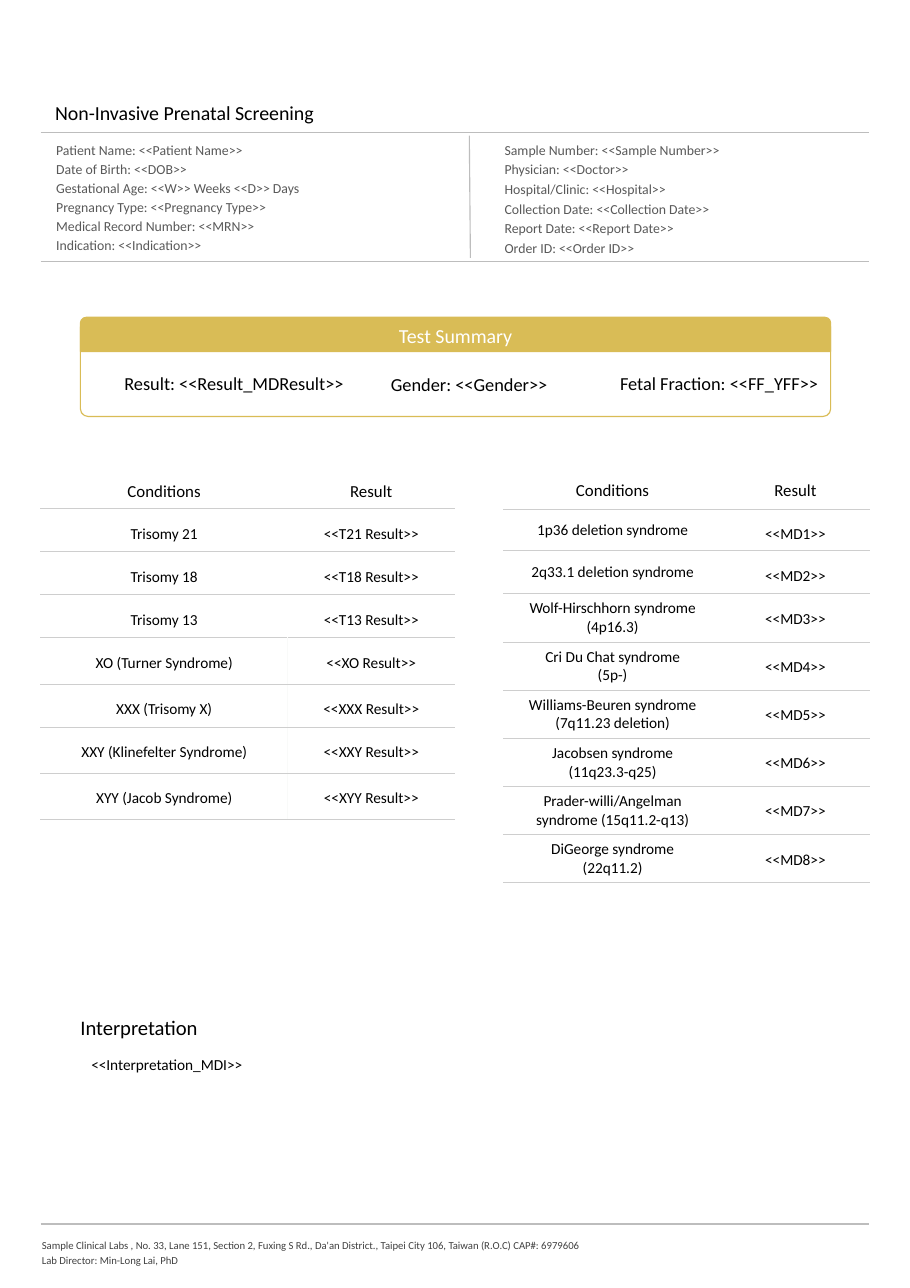
"""Build the one-page prenatal screening report form."""
from lxml import etree
from pptx import Presentation
from pptx.dml.color import RGBColor
from pptx.enum.shapes import MSO_CONNECTOR, MSO_SHAPE
from pptx.enum.text import MSO_ANCHOR, MSO_AUTO_SIZE, PP_ALIGN
from pptx.oxml import parse_xml
from pptx.oxml.ns import nsdecls, qn
from pptx.util import Inches, Pt

BLACK = RGBColor(0x00, 0x00, 0x00)
WHITE = RGBColor(0xFF, 0xFF, 0xFF)
GOLD = RGBColor(0xD9, 0xBC, 0x56)
RULE_GRAY = RGBColor(0xBD, 0xBD, 0xBD)
ROW_GRAY = RGBColor(0xCE, 0xCE, 0xCE)
PALE_GRAY = RGBColor(0xF9, 0xFA, 0xF9)
DETAIL_GRAY = RGBColor(0x59, 0x59, 0x59)
FOOTER_GRAY = RGBColor(0x41, 0x41, 0x41)


def write(frame, lines, size, color=BLACK, align=PP_ALIGN.LEFT, spacing=1.0, gap=0):
    frame.text = "\n".join(lines)
    for index, paragraph in enumerate(frame.paragraphs):
        paragraph.alignment = align
        paragraph.line_spacing = spacing
        paragraph.space_before = Pt(gap if index else 0)
        paragraph.font.name = "Calibri"
        paragraph.font.size = Pt(size)
        paragraph.font.color.rgb = color


def place(shape, box, inset_x, inset_y):
    shape.left, shape.top, shape.width, shape.height = map(Inches, box)
    frame = shape.text_frame
    frame.auto_size = MSO_AUTO_SIZE.NONE
    frame.word_wrap = True
    frame.vertical_anchor = MSO_ANCHOR.TOP
    frame.margin_left = frame.margin_right = Inches(inset_x)
    frame.margin_top = frame.margin_bottom = Inches(inset_y)
    return frame


presentation = Presentation()
presentation.slide_width, presentation.slide_height = Inches(8.26), Inches(11.69)
slide = presentation.slides.add_slide(presentation.slide_layouts.get_by_name("Two Content"))
shapes = slide.shapes
title, patient_list, sample_list = slide.placeholders

write(place(title, (0.5, 0.89, 3.74, 0.23), 0, 0.02), ["Non-Invasive Prenatal Screening"], 13)

details = [
    (patient_list, 0.51, 0, [
        "Patient Name: <<Patient Name>>", "Date of Birth: <<DOB>>",
        "Gestational Age: <<W>> Weeks <<D>> Days", "Pregnancy Type: <<Pregnancy Type>>",
        "Medical Record Number: <<MRN>>", "Indication: <<Indication>>"]),
    (sample_list, 4.58, 0.4, [
        "Sample Number: <<Sample Number>>", "Physician: <<Doctor>>",
        "Hospital/Clinic: <<Hospital>>", "Collection Date: <<Collection Date>>",
        "Report Date: <<Report Date>>", "Order ID: <<Order ID>>"]),
]
for placeholder, left, gap, lines in details:
    frame = place(placeholder, (left, 1.25, 3.13, 1.06), 0, 0.01)
    write(frame, lines, 9, DETAIL_GRAY, spacing=1.15, gap=gap)
    for paragraph in frame.paragraphs:
        properties = paragraph._p.get_or_add_pPr()
        properties.set("marL", "0")
        properties.set("indent", "0")
        properties[-1].addprevious(parse_xml(f"<a:buNone {nsdecls('a')}/>"))

rules = [(0.37, y, 7.89, y) for y in (1.2, 2.37, 11.11)] + [(4.26, 1.23, 4.27, 2.34)]
for ends in rules:
    rule = shapes.add_connector(MSO_CONNECTOR.STRAIGHT, *map(Inches, ends))
    rule.line.color.rgb = RULE_GRAY
    rule.line.width = Pt(0.75)
    etree.SubElement(rule._element.spPr, qn("a:effectLst"))

summary_panel = shapes.add_shape(MSO_SHAPE.ROUNDED_RECTANGLE, *map(Inches, (0.73, 2.9, 6.81, 0.88)))
summary_panel.adjustments[0] = 0.079
summary_panel.fill.background()
summary_banner = shapes.add_shape(
    MSO_SHAPE.ROUND_2_SAME_RECTANGLE, *map(Inches, (0.73, 2.88, 6.81, 0.31)))
summary_banner.fill.solid()
summary_banner.fill.fore_color.rgb = GOLD
for shape in (summary_panel, summary_banner):
    shape.shadow.inherit = False
    shape.line.color.rgb = GOLD
    shape.line.width = Pt(0.75)
banner_frame = place(summary_banner, (0.73, 2.88, 6.81, 0.31), 0, 0)
banner_frame.vertical_anchor = MSO_ANCHOR.MIDDLE
write(banner_frame, ["Test Summary"], 13, WHITE, PP_ALIGN.CENTER)

labels = [
    ((1.03, 3.33, 2.32, 0.3), 0.1, 0.05, 12, "Result: <<Result_MDResult>>"),
    ((3.45, 3.34, 1.87, 0.3), 0.1, 0.05, 12, "Gender: <<Gender>>"),
    ((5.53, 3.33, 2.1, 0.3), 0.1, 0.05, 12, "Fetal Fraction: <<FF_YFF>>"),
    ((0.73, 9.19, 1.28, 0.25), 0, 0.02, 13.5, "Interpretation"),
    ((0.73, 9.48, 6.81, 0.37), 0.1, 0.1, 10, "<<Interpretation_MDI>>"),
]
for box, inset_x, inset_y, size, text in labels:
    label = shapes.add_textbox(*map(Inches, box))
    write(place(label, box, inset_x, inset_y), [text], size)

footer_box = (0.38, 11.21, 5.97, 0.46)
footer = shapes.add_textbox(*map(Inches, footer_box))
write(place(footer, footer_box, 0, 0.01), [
    "Sample Clinical Labs , No. 33, Lane 151, Section 2, Fuxing S Rd., Da'an District., "
    "Taipei City 106, Taiwan (R.O.C) CAP#: 6979606",
    "Lab Director: Min-Long Lai, PhD"], 7, FOOTER_GRAY, spacing=1.19)

trisomies = [
    ("Trisomy 21", "T21"), ("Trisomy 18", "T18"), ("Trisomy 13", "T13"),
    ("XO (Turner Syndrome)", "XO"), ("XXX (Trisomy X)", "XXX"),
    ("XXY (Klinefelter Syndrome)", "XXY"), ("XYY (Jacob Syndrome)", "XYY")]
deletions = [
    "1p36 deletion syndrome", "2q33.1 deletion syndrome",
    "Wolf-Hirschhorn syndrome\n(4p16.3)", "Cri Du Chat syndrome\n(5p-)",
    "Williams-Beuren syndrome (7q11.23 deletion)", "Jacobsen syndrome\n(11q23.3-q25)",
    "Prader-willi/Angelman syndrome (15q11.2-q13)", "DiGeorge syndrome\n(22q11.2)"]
tables = [
    (0.37, 4.25, (2.24, 1.52), (0.37, 0.39, 0.39, 0.39, 0.42, 0.39, 0.42, 0.42), False,
     [(name, f"<<{code} Result>>") for name, code in trisomies]),
    (4.57, 4.24, (1.98, 1.34), (0.38, 0.38, 0.39) + (0.43,) * 6, True,
     [(name, f"<<MD{number}>>") for number, name in enumerate(deletions, 1)]),
]
for left, top, widths, heights, is_deletions, results in tables:
    rows = [("Conditions", "Result")] + results
    table = shapes.add_table(len(rows), 2, Inches(left), Inches(top),
                             Inches(sum(widths)), Inches(sum(heights))).table
    table.first_row = table.horz_banding = False
    for column, width in zip(table.columns, widths):
        column.width = Inches(width)
    for row_index, (row, height) in enumerate(zip(rows, heights)):
        table.rows[row_index].height = Inches(height)
        is_header = row_index == 0
        divider = PALE_GRAY if row_index > 3 and not is_deletions else WHITE
        for column_index, text in enumerate(row):
            cell = table.cell(row_index, column_index)
            is_centered = is_deletions and column_index == 0 and not is_header
            cell.fill.solid()
            cell.fill.fore_color.rgb = WHITE
            cell.vertical_anchor = MSO_ANCHOR.MIDDLE if is_centered else MSO_ANCHOR.TOP
            cell.margin_left = cell.margin_right = Inches(0.1 if is_centered else 0)
            cell.margin_top = Inches(0.12 if is_header else 0.05 if is_centered else 0.06)
            cell.margin_bottom = Inches(0.05 if is_centered else 0)
            write(cell.text_frame, text.split("\n"), 11 if is_header else 10,
                  align=PP_ALIGN.CENTER, spacing=1.0 if is_header or is_centered else 1.5)
            borders = {
                "L": divider if column_index else WHITE,
                "R": WHITE if column_index else divider,
                "T": WHITE if is_header else ROW_GRAY,
                "B": ROW_GRAY}
            for position, (side, color) in enumerate(borders.items()):
                cell._tc.get_or_add_tcPr().insert(position, parse_xml(
                    f'<a:ln{side} {nsdecls("a")} w="9525"><a:solidFill>'
                    f'<a:srgbClr val="{color}"/></a:solidFill></a:ln{side}>'))

presentation.save("out.pptx")
